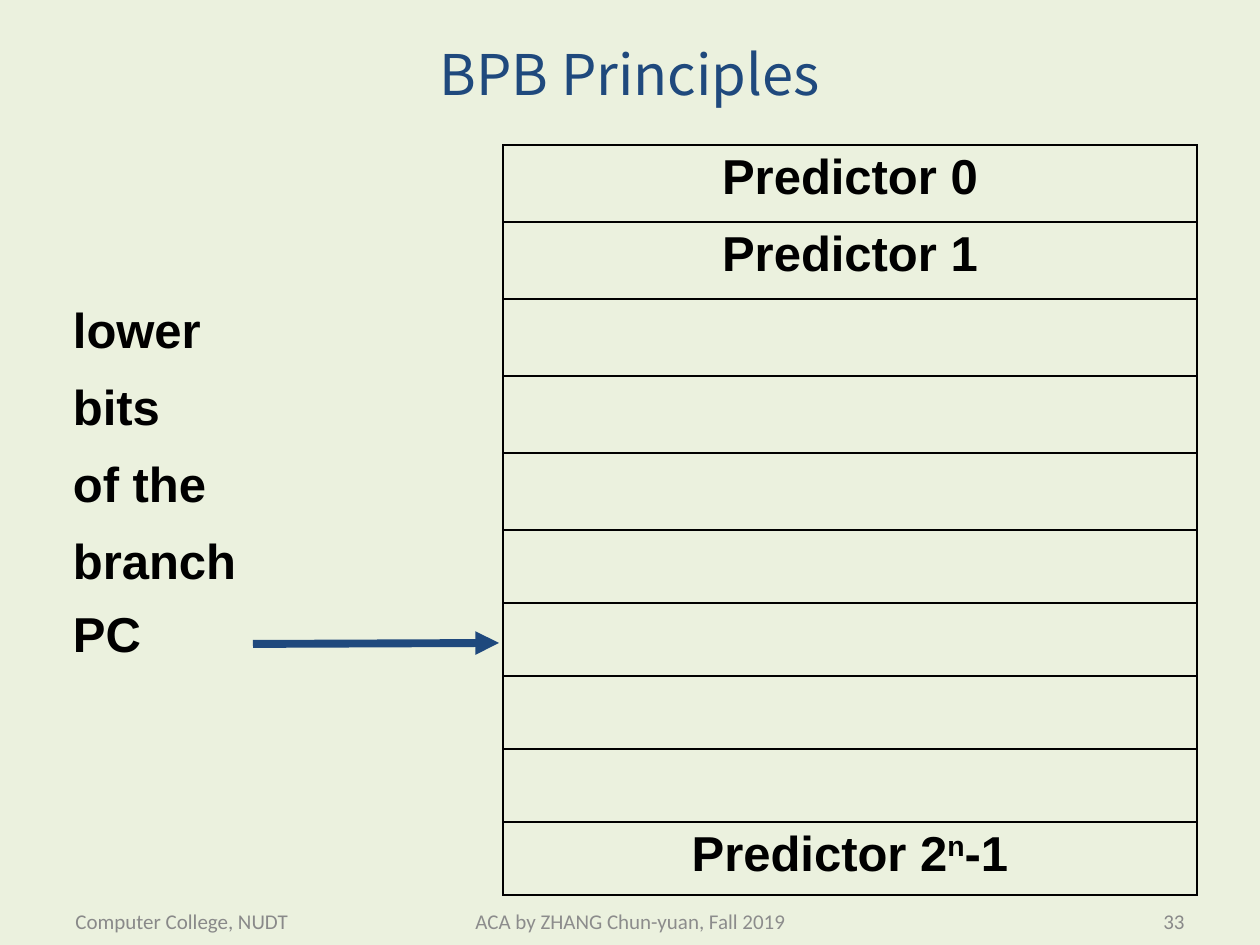
"""Build the slide on BPB principles with its predictor table."""
from lxml.etree import SubElement as Sub
from pptx import Presentation
from pptx.dml.color import RGBColor
from pptx.enum.shapes import MSO_CONNECTOR as Conn
from pptx.enum.text import MSO_ANCHOR as Anchor, PP_ALIGN as Align
from pptx.oxml import parse_xml
from pptx.oxml.ns import nsdecls, qn
from pptx.util import Pt

PX = 914400 // 126
NAVY = RGBColor(0x1F, 0x49, 0x7D)
GRAY = RGBColor(0x89, 0x89, 0x89)
ASH = RGBColor(0x8C, 0x8C, 0x8C)
BLACK = RGBColor(0, 0, 0)
CREAM = RGBColor(0xEB, 0xF1, 0xDE)
PLAIN = "{2D5ABB26-0587-4C30-8999-92F81FD0307C}"


def style(para, size, face, color, align, bold=False):
    para.alignment = align
    for run in para.runs:
        font = run.font
        font.size, font.name, font.bold = Pt(size), face, bold
        font.color.rgb = color
        Sub(run._r.get_or_add_rPr(), qn("a:ea")).set("typeface", face)


def border(cell, sides):
    props = cell._tc.get_or_add_tcPr()
    for spot, side in enumerate(sides):
        props.insert(spot, parse_xml(
            f'<a:ln{side} {nsdecls("a")} w="12700"><a:solidFill>'
            f'<a:srgbClr val="{BLACK}"/></a:solidFill></a:ln{side}>'))


prs = Presentation()
prs.slide_width, prs.slide_height = 1260 * PX, 945 * PX
slide = prs.slides.add_slide(prs.slide_layouts[6])
slide.background.fill.solid()
slide.background.fill.fore_color.rgb = CREAM
shapes = slide.shapes

labels = [
    ("BPB Principles", (63, 24, 1134, 98), 32, "Noto Sans CJK SC", NAVY, Align.CENTER),
    ("Computer College, NUDT", (63, 896, 294, 50), 12, "Calibri", GRAY, Align.LEFT),
    ("ACA by ZHANG Chun-yuan, Fall 2019", (431, 896, 399, 50), 12, "Calibri", ASH, Align.CENTER),
    ("33", (903, 896, 294, 50), 12, "Calibri", GRAY, Align.RIGHT),
]
for text, place, size, face, color, align in labels:
    frame = shapes.add_textbox(*(n * PX for n in place)).text_frame
    frame.word_wrap = True
    frame.vertical_anchor = Anchor.MIDDLE
    frame.text = text
    style(frame.paragraphs[0], size, face, color, align)

widths = [440, 694]
heights = [77] * 5 + [73] * 5
notes = ["", "", "lower", "bits", "of the", "branch", "PC", "", "", ""]
slots = ["Predictor 0", "Predictor 1"] + [""] * 7 + ["Predictor 2"]
table = shapes.add_table(len(heights), len(widths), 63 * PX, 145 * PX,
                         sum(widths) * PX, sum(heights) * PX).table
table.first_row = table.horz_banding = False
table._tbl.tblPr.find(qn("a:tableStyleId")).text = PLAIN
for col, width in zip(table.columns, widths):
    col.width = width * PX
for row, height, note, slot in zip(table.rows, heights, notes, slots):
    row.height = height * PX
    looks = [(note, Align.LEFT, "R"), (slot, Align.CENTER, "LRTB")]
    for cell, (text, align, sides) in zip(row.cells, looks):
        cell.margin_left = cell.margin_right = 10 * PX
        cell.margin_top = cell.margin_bottom = 5 * PX
        cell.fill.background()
        border(cell, sides)
        para = cell.text_frame.paragraphs[0]
        if text:
            para.text = text
        if text == slots[-1]:
            power = para.add_run()
            power.text = "n"
            power._r.get_or_add_rPr().set("baseline", "30000")
            para.add_run().text = "-1"
        style(para, 28, "Arial", BLACK, align, True)

arrow = shapes.add_connector(Conn.STRAIGHT, 253 * PX, 644 * PX, 499 * PX, 643 * PX)
arrow.line.color.rgb = NAVY
arrow.line.width = Pt(4.5)
Sub(arrow.line._get_or_add_ln(), qn("a:tailEnd")).set("type", "triangle")
Sub(arrow._element.spPr, qn("a:effectLst"))

prs.save("out.pptx")
